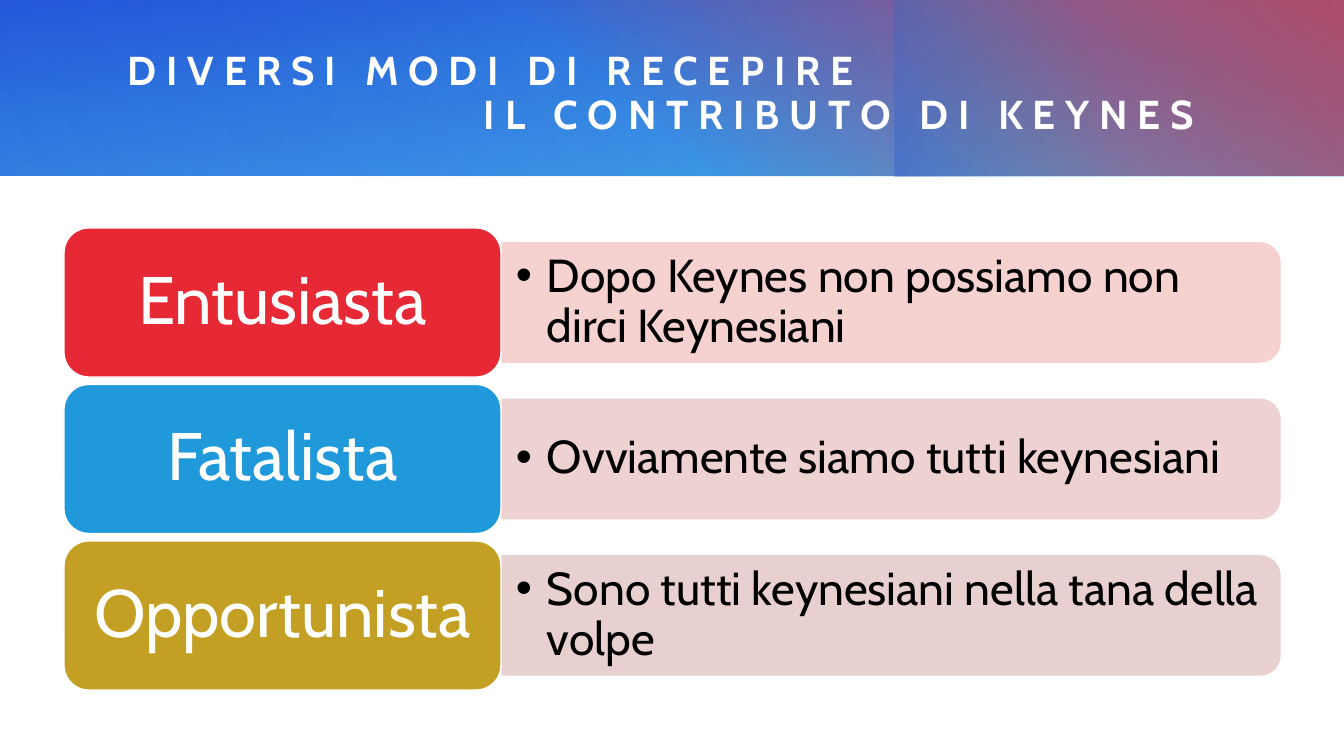
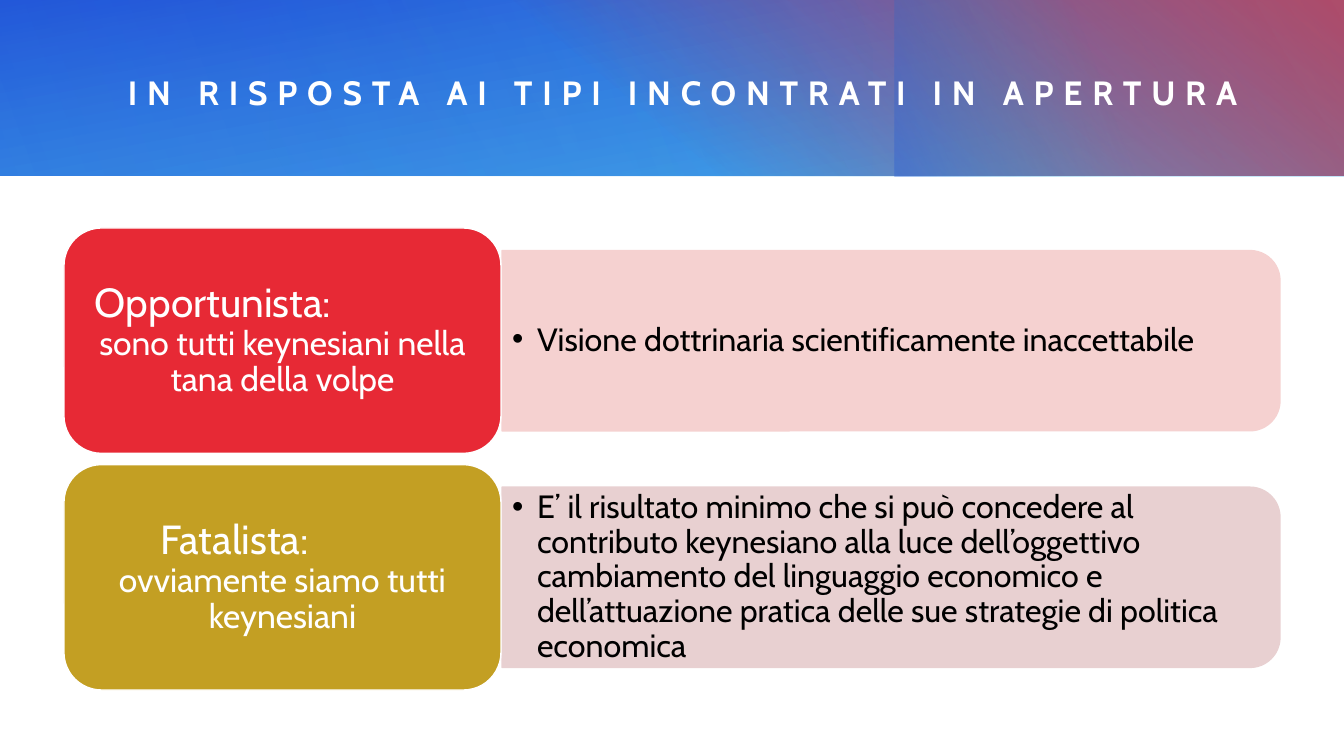
from dataclasses import dataclass

from lxml.etree import SubElement
from pptx import Presentation
from pptx.dml.color import RGBColor
from pptx.enum.shapes import MSO_SHAPE as Shape
from pptx.enum.text import MSO_ANCHOR as Anchor, MSO_AUTO_SIZE as AutoSize, PP_ALIGN as Align
from pptx.oxml.ns import qn
from pptx.util import Emu, Pt

PAGE_W, PAGE_H = 1344, 756
EMU_PER_PX = 12192000 / PAGE_W


@dataclass(frozen=True)
class Theme:
    font: str = "Cabin"
    white: str = "FFFFFF"
    black: str = "000000"
    sky: str = "299FE7"
    royal: str = "2247D7"
    teal: str = "13B3AD"
    red: str = "E72935"
    blue: str = "2099DB"
    gold: str = "C39F23"
    rose: str = "F5D1D0"
    blush: str = "EED1D1"
    mauve: str = "E8D0D1"
    title: float = 28.8
    title_small: float = 24
    title_spacing: int = 700


@dataclass(frozen=True)
class CardStyle:
    label_inset: int
    panel_inset: int
    bullet_indent: int
    label_size: int
    panel_size: int
    detail_size: int = 24


THEME = Theme()
LARGE = CardStyle(label_inset=20, panel_inset=14, bullet_indent=31, label_size=48, panel_size=33)
SMALL = CardStyle(label_inset=12, panel_inset=10, bullet_indent=25, label_size=29, panel_size=23)

# Page geometry in px
BAND_H = 176
TITLE_BOX = (128, 41, 1144, 107)
CARDS_TOP, CARDS_H = 228, 462
LABEL_X, LABEL_W = 64, 437
PANEL_X, PANEL_W = 502, 778
GAP_RATIO, PANEL_RATIO = 0.05, 0.8


def px(value):
    return Emu(round(value * EMU_PER_PX))


def rgb(colour):
    return RGBColor.from_string(colour)


# Text
def set_frame(frame, inset_x=0, inset_y=0):
    frame.auto_size = AutoSize.NONE
    frame.word_wrap = True
    frame.vertical_anchor = Anchor.MIDDLE
    frame.margin_left = frame.margin_right = px(inset_x)
    frame.margin_top = frame.margin_bottom = px(inset_y)


def write(frame, text, size, colour, bold=False, align=Align.LEFT, indent=0, bullet=False, spacing=0):
    """Add one paragraph, using the first one while it is empty."""
    para = frame.paragraphs[0]
    if para.runs:
        para = frame.add_paragraph()
    para.alignment = align
    para.line_spacing = 0.9
    para.space_before = para.space_after = Pt(0)
    span = para.add_run()
    span.text = text
    span.font.name, span.font.size, span.font.bold = THEME.font, Pt(size), bold
    span.font.color.rgb = rgb(colour)
    if spacing:
        span.font._element.set("spc", str(spacing))
    props = para._p.get_or_add_pPr()
    props.set("marL", str(px(indent)))
    props.set("indent", str(px(-indent if bullet else 0)))
    if bullet:
        SubElement(props, qn("a:buFont"), typeface="Arial")
        SubElement(props, qn("a:buChar"), char="•")


# Shapes
def add_shape(page, kind, box, rotation=0):
    """Place a shape so that it covers box once it is turned."""
    left, top, width, height = box
    if rotation % 180:
        left, top = left + (width - height) / 2, top + (height - width) / 2
        width, height = height, width
    shape = page.shapes.add_shape(kind, px(left), px(top), px(width), px(height))
    shape.rotation = rotation
    shape.shadow.inherit = False
    return shape


def add_solid(page, kind, box, fill, line, rotation=0):
    shape = add_shape(page, kind, box, rotation)
    shape.fill.solid()
    shape.fill.fore_color.rgb = rgb(fill)
    shape.line.color.rgb = rgb(line)
    shape.line.width = Pt(1)
    return shape


def add_gradient(page, box, angle, stops, rotation=0):
    """Each stop is (position, colour, opacity), both numbers in percent."""
    shape = add_shape(page, Shape.RECTANGLE, box, rotation)
    shape.line.fill.background()
    shape.fill.gradient()
    shape.fill.gradient_angle = 360 - angle
    for stop, (position, colour, _) in zip(shape.fill.gradient_stops, stops):
        stop.position = position / 100
        stop.color.rgb = rgb(colour)
    colours = list(shape.element.spPr.iter(qn("a:srgbClr")))
    for element, (_, _, opacity) in zip(colours, stops):
        SubElement(element, qn("a:alpha"), val=str(opacity * 1000))
    return shape


# Shared header
def build_header(layout, page):
    """Draw the colour band and move it to the layout, behind its title."""
    t = THEME
    band = [
        add_gradient(page, (0, 0, PAGE_W, BAND_H), 260, [(0, t.sky, 83), (100, t.royal, 100)]),
        add_gradient(page, (485, 0, 859, BAND_H), 310, [(22, t.red, 0), (99, t.red, 100)]),
        add_gradient(page, (895, 0, 377, BAND_H), 250, [(45, t.teal, 0), (99, t.royal, 33)], 270),
        add_gradient(page, (270, 0, 1074, BAND_H), 330, [(0, t.sky, 30), (99, t.sky, 0)], 180),
        add_gradient(page, (0, 0, 872, BAND_H), 340, [(0, t.sky, 21), (99, t.sky, 0)]),
    ]
    for position, shape in enumerate(band, start=2):
        layout.shapes.element.insert(position, shape.element)
    title = layout.placeholders[0]
    title.left, title.top, title.width, title.height = map(px, TITLE_BOX)


def write_title(page, lines, size):
    """Each line is (text, indent)."""
    frame = page.shapes.title.text_frame
    set_frame(frame)
    for text, indent in lines:
        write(frame, text, size, THEME.white, bold=True, indent=indent, spacing=THEME.title_spacing)


# Cards
def add_panel(page, top, height, text, fill, style):
    add_solid(page, Shape.ROUND_2_SAME_RECTANGLE, (PANEL_X, top, PANEL_W, height), fill, fill, 90)
    text_w = PANEL_W - height * GAP_RATIO
    box = page.shapes.add_textbox(px(PANEL_X), px(top), px(text_w), px(height))
    set_frame(box.text_frame, style.panel_inset, style.panel_inset / 2)
    write(box.text_frame, text, style.panel_size, THEME.black, indent=style.bullet_indent, bullet=True)


def add_label(page, top, height, heading, detail, indent, fill, style):
    label = add_solid(page, Shape.ROUNDED_RECTANGLE, (LABEL_X, top, LABEL_W, height), fill, THEME.white)
    frame = label.text_frame
    set_frame(frame, style.label_inset, style.label_inset / 2)
    align = Align.LEFT if detail else Align.CENTER
    write(frame, heading, style.label_size, THEME.white, align=align, indent=indent)
    if detail:
        write(frame, detail, style.detail_size, THEME.white, align=Align.CENTER)


def add_cards(page, cards, style):
    """Each card is (heading, detail, heading indent, panel text, label fill, panel fill)."""
    height = CARDS_H / (len(cards) + GAP_RATIO * (len(cards) - 1))
    panel_h = height * PANEL_RATIO
    for row, (heading, detail, indent, text, fill, panel_fill) in enumerate(cards):
        top = CARDS_TOP + row * height * (1 + GAP_RATIO)
        add_panel(page, top + (height - panel_h) / 2, panel_h, text, panel_fill, style)
        add_label(page, top, height, heading, detail, indent, fill, style)


def main():
    t = THEME
    deck = Presentation()
    deck.slide_width, deck.slide_height = px(PAGE_W), px(PAGE_H)
    layout = deck.slide_layouts.get_by_name("Title Only")

    # Three ways to receive Keynes
    page = deck.slides.add_slide(layout)
    build_header(layout, page)
    write_title(page, [("DIVERSI MODI DI RECEPIRE", 0), ("IL CONTRIBUTO DI KEYNES", 356)], t.title)
    add_cards(page, [
        ("Entusiasta", "", 0, "Dopo Keynes non possiamo non dirci Keynesiani", t.red, t.rose),
        ("Fatalista", "", 0, "Ovviamente siamo tutti keynesiani", t.blue, t.blush),
        ("Opportunista", "", 0, "Sono tutti keynesiani nella tana della volpe", t.gold, t.mauve),
    ], LARGE)

    # Answers to two of them
    page = deck.slides.add_slide(layout)
    write_title(page, [("IN RISPOSTA AI TIPI INCONTRATI IN APERTURA", 0)], t.title_small)
    add_cards(page, [
        ("Opportunista:", "sono tutti keynesiani nella tana della volpe", 8,
         "Visione dottrinaria scientificamente inaccettabile", t.red, t.rose),
        ("Fatalista:", "ovviamente siamo tutti keynesiani", 74,
         "E’ il risultato minimo che si può concedere al contributo keynesiano alla luce "
         "dell’oggettivo cambiamento del linguaggio economico e dell’attuazione pratica "
         "delle sue strategie di politica economica", t.gold, t.mauve),
    ], SMALL)

    deck.save("out.pptx")


if __name__ == "__main__":
    main()
